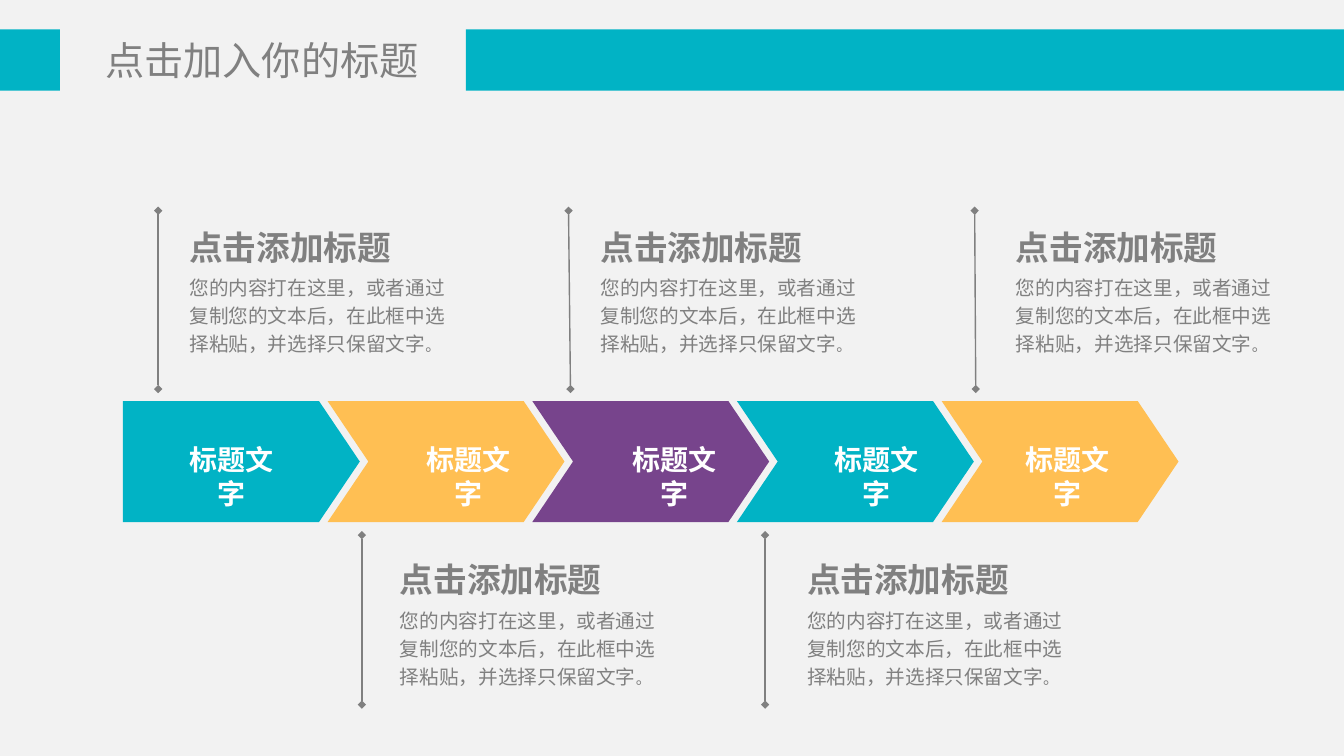
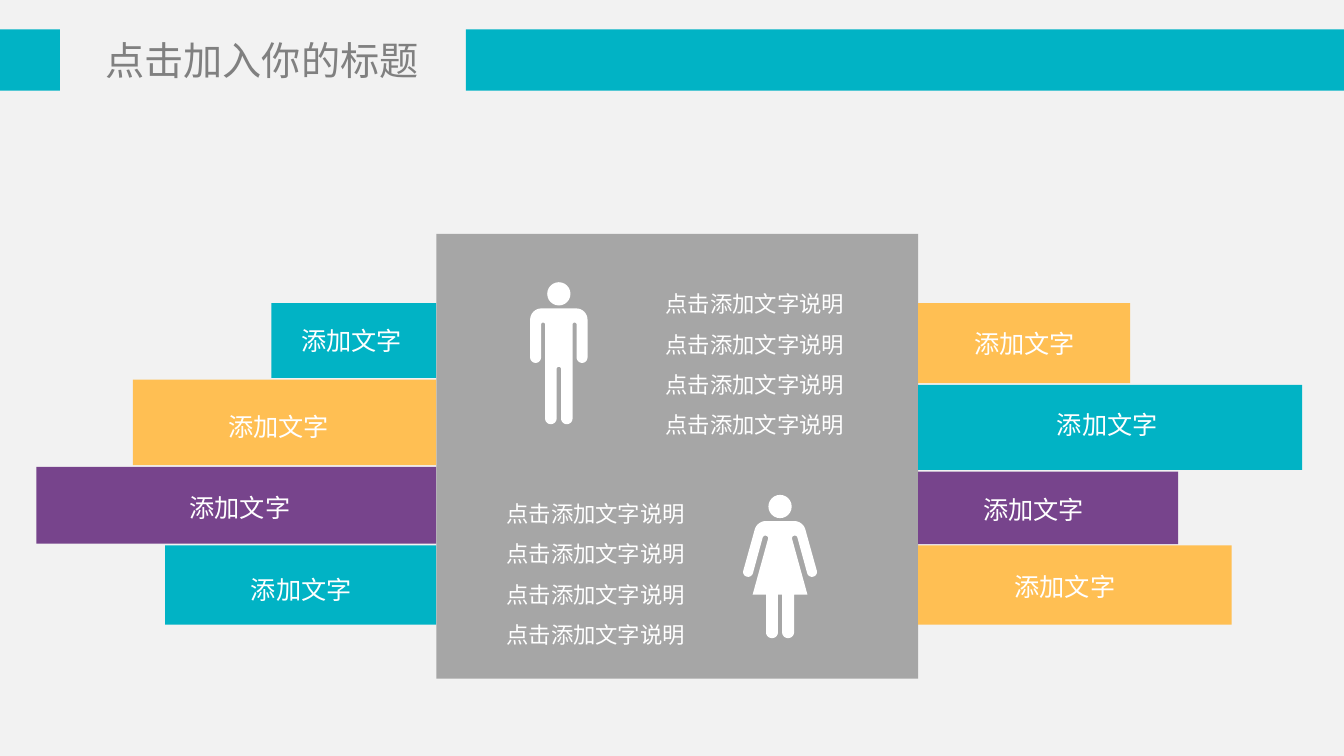
"""Build a process slide and a comparison slide that share one title band."""
from math import dist

from lxml.etree import SubElement
from pptx import Presentation
from pptx.dml.color import RGBColor
from pptx.enum.shapes import MSO_CONNECTOR as Connector, MSO_SHAPE as Preset
from pptx.enum.text import PP_ALIGN as Align
from pptx.oxml.ns import qn
from pptx.util import Pt

TEAL, AMBER, PURPLE = "01B3C5", "FFBF53", "77448C"
GREY, SILVER, WHITE, PAPER = "808080", "A6A6A6", "FFFFFF", "F2F2F2"
SANS, EAST_ASIAN = "Noto Sans CJK SC", "Lato"

TITLE = {"font": {"name": SANS}, "colour": GREY, "margin": 0,
         "paragraph": {"alignment": Align.CENTER}}
STEP = {"font": {"name": SANS, "bold": True}, "colour": WHITE, "wrap": False,
        "paragraph": {"alignment": Align.CENTER}}
HEADING = {"font": {"name": "Calibri", "bold": True}, "colour": GREY}
BODY = {"font": {"name": "Arial"}, "colour": GREY,
        "paragraph": {"line_spacing": 1.2}}
LABEL = {"font": {"name": SANS}, "colour": WHITE}
NOTES = {"font": {"name": "Lato"}, "colour": WHITE,
         "paragraph": {"alignment": Align.CENTER, "line_spacing": 1.5}}


def paint(shape, colour):
    """Give a shape a plain fill without line or shadow."""
    shape.shadow.inherit = False
    shape.fill.solid()
    shape.fill.fore_color.rgb = RGBColor.from_string(colour)
    shape.line.fill.background()
    return shape


def add_text(slide, box, paragraphs, style):
    """Add a text box; each paragraph maps its runs to their sizes."""
    frame = slide.shapes.add_textbox(*map(Pt, box)).text_frame
    frame.word_wrap = style.get("wrap", True)
    if "margin" in style:
        for side in ("left", "top", "right", "bottom"):
            setattr(frame, f"margin_{side}", Pt(style["margin"]))
    for index, runs in enumerate(paragraphs):
        paragraph = frame.add_paragraph() if index else frame.paragraphs[0]
        for name, value in style.get("paragraph", {}).items():
            setattr(paragraph, name, value)
        for text, size in runs.items():
            run = paragraph.add_run()
            run.text = text
            run.font.size = Pt(size)
            run.font.color.rgb = RGBColor.from_string(style["colour"])
            for name, value in style["font"].items():
                setattr(run.font, name, value)
            properties = run._r.get_or_add_rPr()
            SubElement(properties, qn("a:ea"), typeface=EAST_ASIAN)


presentation = Presentation()
presentation.slide_width, presentation.slide_height = Pt(960), Pt(540)
background = presentation.slide_master.background.fill
background.solid()
background.fore_color.rgb = RGBColor.from_string(PAPER)

slides = [presentation.slides.add_slide(presentation.slide_layouts[6])
          for _ in range(2)]
for slide in slides:
    for left, right in ((0, 42.8), (332.8, 960)):
        box = (left, 21, right - left, 43.7)
        paint(slide.shapes.add_shape(Preset.RECTANGLE, *map(Pt, box)), TEAL)
    add_text(slide, (51.8, 25.9, 270.7, 33.8), [{"点击加入你的标题": 28}], TITLE)
process, comparison = slides

steps = [(TEAL, 118.8), (AMBER, 288), (PURPLE, 435.6), (TEAL, 579.6),
         (AMBER, 716.4)]
for index, (colour, text_left) in enumerate(steps):
    preset = Preset.CHEVRON if index else Preset.PENTAGON
    box = (87.8 + 146.2 * index, 286.5, 169.2, 86.4)
    arrow = paint(process.shapes.add_shape(preset, *map(Pt, box)), colour)
    arrow.adjustments[0] = 0.337
    add_text(process, (text_left, 312.5, 92.9, 35.3), [{"标题文字": 20}], STEP)

upper = {"start": 277.9, "end": 150.5, "heading": 158.4}
lower = {"start": 503.3, "end": 382.3, "heading": 396}
callouts = [(113, 113, 128.2, upper), (407.5, 406.1, 421.9, upper),
            (697, 696.2, 718.6, upper), (258.5, 258.5, 278.6, lower),
            (546.5, 546.5, 569.5, lower)]
body = {"您的内容打在这里，或者通过复制您的文本后，在此框中选择粘贴，并选择只保留文字": 14, "。": 11}
for start_x, end_x, left, row in callouts:
    ends = (start_x, row["start"], end_x, row["end"])
    rule = process.shapes.add_connector(Connector.STRAIGHT, *map(Pt, ends))
    rule.line.width = Pt(1)
    rule.line.color.rgb = RGBColor.from_string(GREY)
    properties = rule.element.spPr
    for end in ("a:headEnd", "a:tailEnd"):
        SubElement(properties.find(qn("a:ln")), qn(end), type="diamond")
    SubElement(properties, qn("a:effectLst"))
    top = row["heading"]
    add_text(process, (left, top + 31.7, 209.5, 68.4), [body], BODY)
    add_text(process, (left, top, 175.7, 36), [{"点击添加标题": 24}], HEADING)

panel_left, panel_right = 311.6, 655.8
panel = (panel_left, 167, panel_right - panel_left, 317.8)
paint(comparison.shapes.add_shape(Preset.RECTANGLE, *map(Pt, panel)), SILVER)

left_bars = [(117.8, 216.6, 53.4, TEAL, 208.1, 229),
             (216.6, 271.2, 61.1, AMBER, 155.9, 290.2),
             (285.6, 333.5, 54.8, PURPLE, 128.2, 348.2),
             (193.6, 389.6, 56.6, TEAL, 172.1, 406.8)]
right_bars = [(151.4, 216.6, 57.2, AMBER, 688.7, 231.1),
              (274.4, 274.9, 60.8, TEAL, 747.8, 288.7),
              (185.8, 336.8, 51.9, PURPLE, 695.2, 349.4),
              (224, 389.6, 56.6, AMBER, 717.5, 404.6)]
for bars, on_left in ((left_bars, True), (right_bars, False)):
    for width, top, height, colour, text_left, text_top in bars:
        left = panel_left - width if on_left else panel_right
        box = (left, top, width, height)
        paint(comparison.shapes.add_shape(Preset.RECTANGLE, *map(Pt, box)), colour)
        add_text(comparison, (text_left, text_top, 90, 28.8),
                 [{"添加文字": 18}], LABEL)

for left, top in ((465.1, 194.4), (351.4, 344.2)):
    add_text(comparison, (left, top, 148.3, 123.8),
             [{"点击添加文字说明": 16}] * 4, NOTES)

man_half = [(20.5, 220.3, 8), (20.5, 259.2, 3.9), (12.7, 259.2, 3.9),
            (12.7, 230.4, 1.4), (9.8, 230.4, 1.4), (9.8, 303, 4.1),
            (1.6, 303, 4.1), (1.6, 262, 1.6)]
woman_half = [(16.4, 372.2, 6), (27.2, 411, 3.5), (20.3, 412.8, 3.5),
              (11.9, 382.2, 1.8), (8.1, 383.2, 1.8), (19.6, 424.8, 0),
              (10, 424.8, 0), (10, 455.8, 4.1), (1.5, 455.8, 4.1),
              (1.5, 424.8, 0)]
for centre, head_top, half in ((399.2, 201.6, man_half),
                               (557.2, 353.5, woman_half)):
    corners = half + [(-x, y, radius) for x, y, radius in reversed(half)]
    outline = []
    for index, (x, y, radius) in enumerate(corners):
        tangents = []
        for near_x, near_y, _ in (corners[index - 1],
                                  corners[(index + 1) % len(corners)]):
            share = radius / dist((x, y), (near_x, near_y))
            tangents.append((x + share * (near_x - x), y + share * (near_y - y)))
        for step in range(9 if radius else 1):
            t = step / 8
            weights = ((1 - t) ** 2, 1.41 * t * (1 - t), t ** 2)
            curve = (tangents[0], (x, y), tangents[1])
            across, down = (sum(w * point[axis] for w, point in zip(weights, curve))
                            / sum(weights) for axis in (0, 1))
            outline.append((Pt(centre + across), Pt(down)))
    builder = comparison.shapes.build_freeform(*outline[0])
    builder.add_line_segments(outline[1:], close=True)
    paint(builder.convert_to_shape(), WHITE)
    head = (centre - 8.3, head_top, 16.6, 16.6)
    paint(comparison.shapes.add_shape(Preset.OVAL, *map(Pt, head)), WHITE)

presentation.save("out.pptx")
